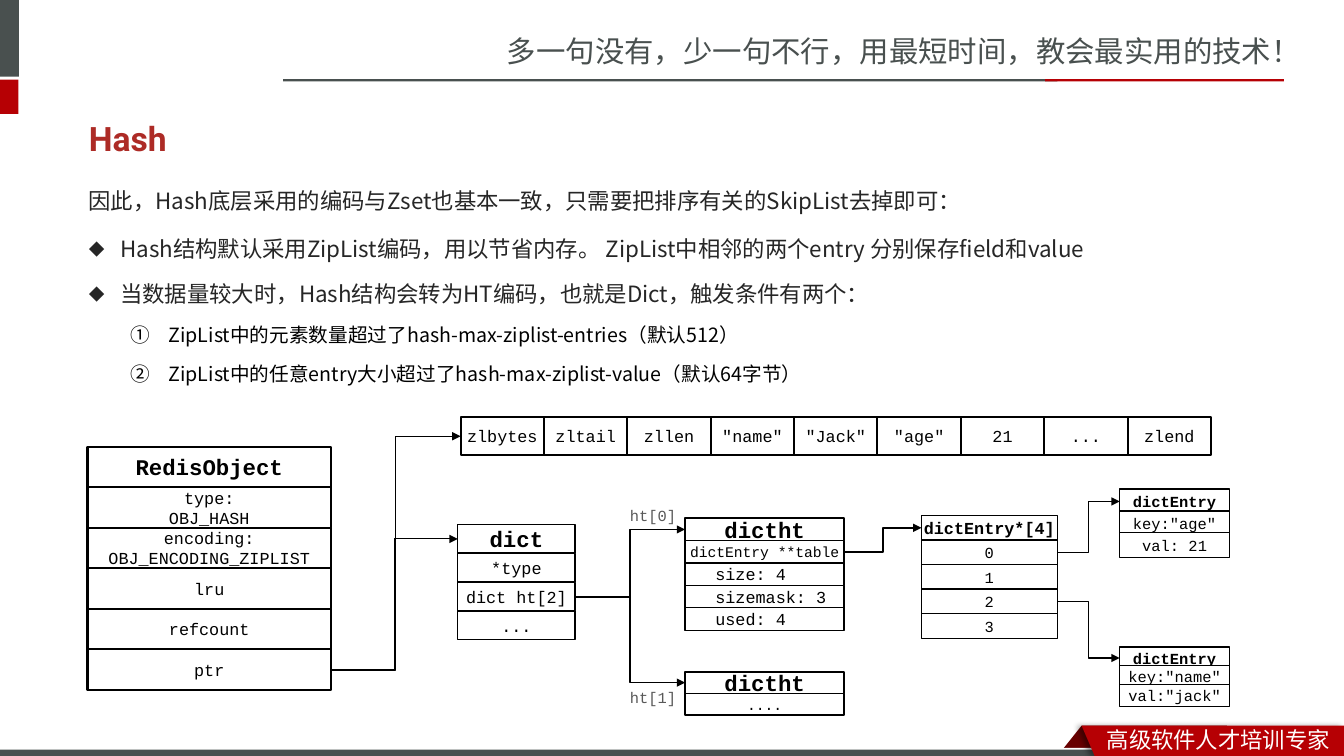
from lxml.etree import SubElement
from pptx import Presentation
from pptx.dml.color import RGBColor
from pptx.enum.shapes import MSO_CONNECTOR as LINK, MSO_SHAPE as SHAPE
from pptx.enum.text import MSO_ANCHOR as ANCHOR, MSO_AUTO_SIZE as FIT, PP_ALIGN as ALIGN
from pptx.oxml.ns import qn
from pptx.util import Pt

COLOURS = {"white": "FFFFFF", "black": "000000", "slate": "49504F", "red": "B60004",
           "dark red": "680000", "title": "AD2B26", "body": "262626", "label": "595959"}
CODE, CJK, SANS, HEADER = "Courier New", "Noto Sans CJK JP", "Roboto", "Noto Sans CJK SC"


def write(para, text, size, font, colour, bold=False):
    span = para.add_run()
    span.text = text
    span.font.size, span.font.name, span.font.bold = Pt(size), font, bold
    span.font.color.rgb = RGBColor.from_string(COLOURS[colour])
    SubElement(span.font._element, qn("a:ea"), typeface=font)


def paint(shape, fill, line_width=0):
    shape.shadow.inherit = False
    shape.fill.solid()
    shape.fill.fore_color.rgb = RGBColor.from_string(COLOURS[fill])
    if line_width:
        shape.line.color.rgb = RGBColor.from_string(COLOURS["black"])
        shape.line.width = Pt(line_width)
    else:
        shape.line.fill.background()


deck = Presentation()
deck.slide_width, deck.slide_height = Pt(960), Pt(540)
page = deck.slides.add_slide(deck.slide_layouts[1])
shapes = page.shapes

# Header and footer bars
for kind, left, top, width, height, colour in [
    (SHAPE.PARALLELOGRAM, 755.3, 518.4, 121, 21.6, "dark red"),
    (SHAPE.RECTANGLE, 0, 534.2, 960, 5.8, "white"),
    (SHAPE.RECTANGLE, 0, 0, 13.5, 54.7, "slate"),
    (SHAPE.RECTANGLE, 0, 56.9, 13.2, 24.5, "red"),
    (SHAPE.RECTANGLE, 202.3, 56.6, 553, 1.6, "slate"),
    (SHAPE.RECTANGLE, 746.6, 56.6, 170.6, 1.6, "red"),
    (SHAPE.RECTANGLE, 0, 535.5, 791.3, 4.5, "slate"),
]:
    bar = shapes.add_shape(kind, Pt(left), Pt(top), Pt(width), Pt(height))
    paint(bar, colour)
    if kind == SHAPE.PARALLELOGRAM:
        bar.adjustments[0] = 0.8

# Footer ribbon with a soft shadow on its left
outline = shapes.build_freeform(Pt(772.6), Pt(518.4))
outline.add_line_segments([(Pt(960), Pt(518.4)), (Pt(960), Pt(540)), (Pt(781.9), Pt(540))])
ribbon = outline.convert_to_shape()
paint(ribbon, "red")
effects = ribbon._element.spPr.find(qn("a:effectLst"))
shadow = SubElement(effects, qn("a:outerShdw"), blurRad=str(Pt(4)), dist=str(Pt(3)),
                    dir="10800000", algn="r", rotWithShape="0")
shade = SubElement(shadow, qn("a:srgbClr"), val=COLOURS["black"])
SubElement(shade, qn("a:alpha"), val="40000")

# Title
title = shapes.title
title.left, title.top, title.width, title.height = Pt(56.2), Pt(83.5), Pt(842.4), Pt(30.2)
title.text_frame.vertical_anchor = ANCHOR.MIDDLE
title.text_frame.auto_size = FIT.NONE
title.text_frame.paragraphs[0].alignment = ALIGN.LEFT
write(title.text_frame.paragraphs[0], "Hash", 24, SANS, "title", True)

# Bulleted list
body = page.placeholders[1]
body.left, body.top, body.width, body.height = Pt(56.2), Pt(157.7), Pt(842.4), Pt(134)
body.text_frame.auto_size = FIT.NONE
body.text_frame.margin_top = Pt(1.5)
for index, (level, text) in enumerate([
    (0, "Hash结构默认采用ZipList编码，用以节省内存。 ZipList中相邻的两个entry 分别保存field和value"),
    (0, "当数据量较大时，Hash结构会转为HT编码，也就是Dict，触发条件有两个："),
    (1, "ZipList中的元素数量超过了hash-max-ziplist-entries（默认512）"),
    (1, "ZipList中的任意entry大小超过了hash-max-ziplist-value（默认64字节）"),
]):
    para = body.text_frame.add_paragraph() if index else body.text_frame.paragraphs[0]
    para.level = level
    para.line_spacing = Pt((28, 24.5)[level])
    para.space_before = Pt((4, 3.4)[level])
    write(para, text, (16, 14)[level], CJK, ("body", "black")[level])
    layout = para._p.get_or_add_pPr()
    layout.set("marL", str(Pt((22.5, 57)[level])))
    layout.set("indent", str(-Pt((22.5, 27)[level])))
    if level:
        SubElement(layout, qn("a:buFont"), typeface=CJK)
        SubElement(layout, qn("a:buAutoNum"), type="circleNumDbPlain")
    else:
        SubElement(layout, qn("a:buSzPct"), val="70000")
        SubElement(layout, qn("a:buFont"), typeface=CJK)
        SubElement(layout, qn("a:buChar"), char="◆")

# Free text: header, ribbon, introduction and hash table labels
for left, top, width, height, text, size, font, colour in [
    (355, 20.2, 605, 33.8, "多一句没有，少一句不行，用最短时间，教会最实用的技术！", 21, HEADER, "slate"),
    (783.4, 514.8, 176.4, 25, "高级软件人才培训专家", 16, HEADER, "white"),
    (56.2, 123.1, 842.4, 36,
     "因此，Hash底层采用的编码与Zset也基本一致，只需要把排序有关的SkipList去掉即可：", 16, CJK, "body"),
    (442.8, 357.8, 48.2, 15.8, "ht[0]", 11, CODE, "label"),
    (442.8, 488.2, 48.2, 15.8, "ht[1]", 11, CODE, "label"),
]:
    box = shapes.add_textbox(Pt(left), Pt(top), Pt(width), Pt(height))
    box.text_frame.word_wrap = font != CODE
    para = box.text_frame.paragraphs[0]
    if font == CJK:
        box.text_frame.margin_top = Pt(1.5)
        para.line_spacing, para.space_before = Pt(28), Pt(4)
    write(para, text, size, font, colour)

# Structures: left, top, width, height, step right, step down, line width,
# heading size (0 for none), cell size, cells
structures = [
    (62.5, 319, 174, 29, 0, 28.95, 1.5, 16, 12,
     ["RedisObject", "type:\nOBJ_HASH", "encoding:\nOBJ_ENCODING_ZIPLIST", "lru", "refcount", "ptr"]),
    (329, 298, 59.6, 27.2, 59.55, 0, 1.5, 0, 12,
     ["zlbytes", "zltail", "zllen", '"name"', '"Jack"', '"age"', "21", "...", "zlend"]),
    (489.4, 370, 113.6, 16.3, 0, 16, 1, 16, 12,
     ["dictht", "dictEntry **table", "size: 4", "sizemask: 3", "used: 4"]),
    (658.2, 368.2, 97, 17.8, 0, 17.5, 1, 12, 11, ["dictEntry*[4]", "0", "1", "2", "3"]),
    (489.4, 480, 113.6, 15.6, 0, 15.2, 1, 16, 10.5, ["dictht", "...."]),
    (799.8, 462.2, 78.5, 15.6, 0, 13.4, 1, 11, 11, ["dictEntry", 'key:"name"', 'val:"jack"']),
    (327, 374.8, 83.7, 20.3, 0, 20.6, 1, 16, 12, ["dict", "*type", "dict ht[2]", "..."]),
    (799.8, 349.3, 78.5, 17.8, 0, 15.6, 1, 11, 11, ["dictEntry", 'key:"age"', "val: 21"]),
]
for left, top, width, height, right, down, line, heading_size, cell_size, cells in structures:
    for index, text in enumerate(cells):
        cell = shapes.add_shape(SHAPE.RECTANGLE, Pt(left + index * right), Pt(top + index * down),
                                Pt(width), Pt(height))
        paint(cell, "white", line)
        frame = cell.text_frame
        frame.word_wrap, frame.vertical_anchor = True, ANCHOR.MIDDLE
        indented = text.startswith(("size", "used"))
        frame.margin_left, frame.margin_right = Pt(21.6 if indented else 0), Pt(0)
        heading = heading_size > 0 and index == 0
        size = heading_size if heading else 10.5 if "**" in text else cell_size
        for row, words in enumerate(text.split("\n")):
            para = frame.add_paragraph() if row else frame.paragraphs[0]
            para.alignment = ALIGN.LEFT if indented else ALIGN.CENTER
            write(para, words, size, CODE, "black", heading)

# Pointer arrows
for start_x, start_y, end_x, end_y, width in [
    (236.5, 478.6, 329, 311.6, 0.75),
    (236.5, 478.6, 327, 385, 0.75),
    (410.7, 426.4, 489.4, 378.2, 1),
    (410.7, 426.4, 489.4, 487.6, 1),
    (603, 394.4, 658.2, 377.1, 1),
    (755.2, 394.6, 799.8, 358.2, 1),
    (755.2, 429.6, 799.8, 470, 1),
]:
    arrow = shapes.add_connector(LINK.ELBOW, Pt(start_x), Pt(start_y), Pt(end_x), Pt(end_y))
    arrow.line.width = Pt(width)
    arrow.line.color.rgb = RGBColor.from_string(COLOURS["black"])
    SubElement(arrow.line._get_or_add_ln(), qn("a:tailEnd"), type="triangle")
    SubElement(arrow._element.spPr, qn("a:effectLst"))

deck.save("out.pptx")
